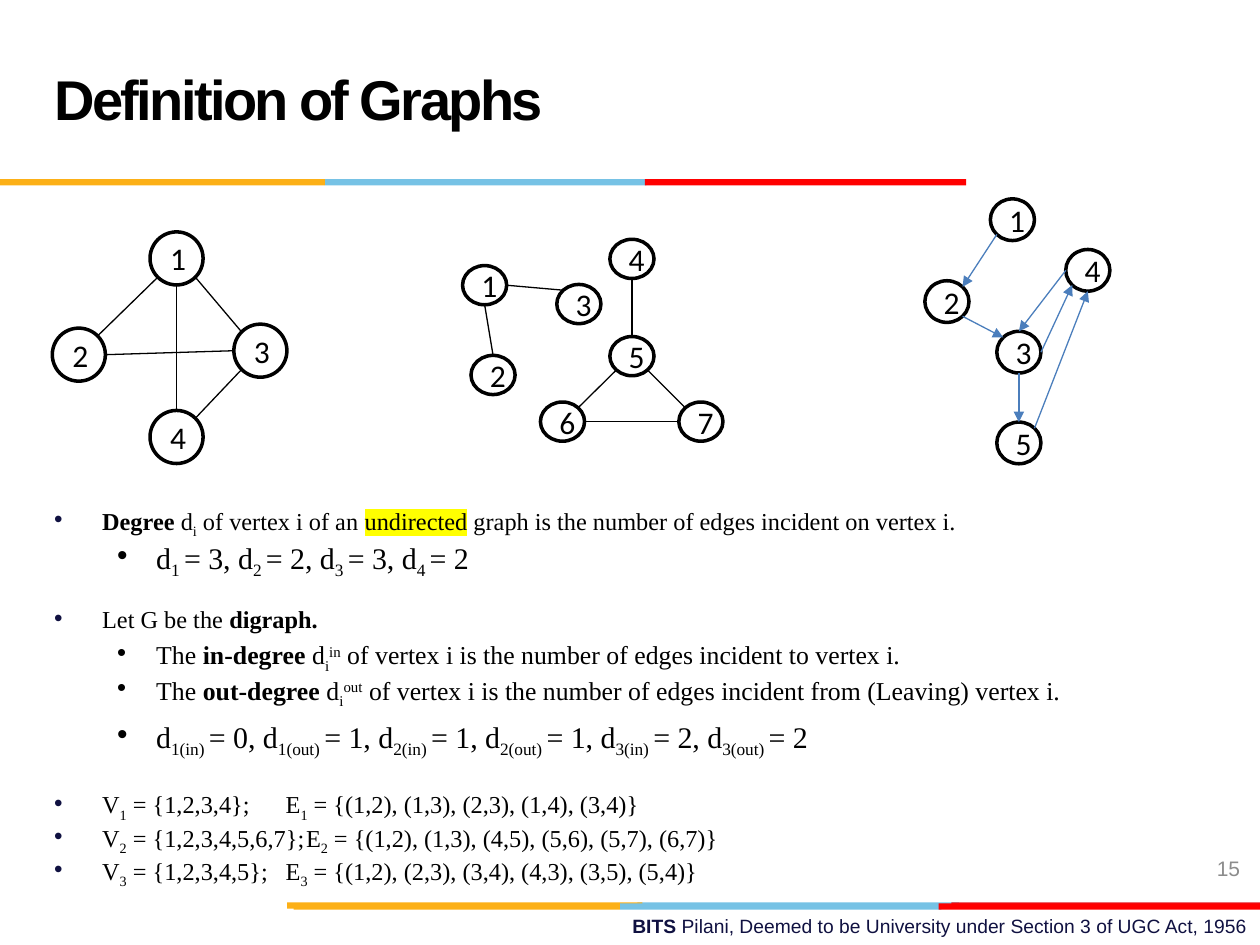
from math import sqrt

from lxml.etree import SubElement
from pptx import Presentation
from pptx.dml.color import RGBColor
from pptx.enum.shapes import MSO_CONNECTOR as Connector, MSO_SHAPE as Shape
from pptx.enum.text import MSO_ANCHOR as Anchor, PP_ALIGN as Align
from pptx.oxml.ns import qn
from pptx.util import Cm, Pt

COLORS = {
    "black": "000000", "white": "FFFFFF", "navy": "101141", "gray": "8C8C8C",
    "yellow": "FCB017", "sky": "76C2E5", "crimson": "E31C24", "red": "FF0000",
    "arrow": "4B7EBC", "marker": "FFFF00",
}
BARS = [
    (12.85, 18.19, 6.48, "sky"), (19.18, 18.19, 6.22, "crimson"), (5.79, 18.19, 7.16, "yellow"),
    (12.5, 18.21, 6.48, "sky"), (5.92, 18.21, 6.58, "yellow"), (18.92, 18.21, 6.48, "red"),
    (6.55, 3.61, 6.48, "sky"), (0, 3.61, 6.55, "yellow"), (13.0, 3.61, 6.48, "red"),
]
DIAGONAL = 1 / sqrt(2)
SITES = {
    "n": (0, -1), "s": (0, 1), "w": (-1, 0), "e": (1, 0),
    "nw": (-DIAGONAL, -DIAGONAL), "ne": (DIAGONAL, -DIAGONAL),
    "sw": (-DIAGONAL, DIAGONAL), "se": (DIAGONAL, DIAGONAL),
}
GRAPHS = [
    {
        "size": (1.07, 1.07), "directed": False,
        "nodes": {1: (3.56, 5.21), 2: (1.59, 7.15), 3: (5.25, 7.07), 4: (3.56, 8.81)},
        "edges": [(1, "s", 4, "n"), (2, "e", 3, "w"), (2, "ne", 1, "sw"),
                  (3, "nw", 1, "se"), (3, "sw", 4, "ne")],
    },
    {
        "size": (0.89, 0.84), "directed": True,
        "nodes": {1: (20.41, 4.43), 2: (19.09, 6.08), 3: (20.54, 7.1), 4: (21.93, 5.45),
                  5: (20.54, 8.93)},
        "edges": [(1, "sw", 2, "ne"), (2, "se", 3, "nw"), (4, "w", 3, "n"),
                  (3, "e", 4, "sw"), (3, "s", 5, "n"), (5, "ne", 4, "s")],
    },
    {
        "size": (0.89, 0.79), "directed": False,
        "nodes": {1: (9.77, 5.75), 2: (9.94, 7.56), 3: (11.67, 6.13), 4: (12.74, 5.22),
                  5: (12.74, 7.18), 6: (11.34, 8.5), 7: (14.13, 8.5)},
        "edges": [(2, "n", 1, "s"), (3, "nw", 1, "e"), (6, "ne", 5, "sw"),
                  (7, "nw", 5, "se"), (5, "n", 4, "s"), (7, "w", 6, "e")],
    },
]


def rgb(name):
    """Return the named colour."""
    return RGBColor.from_string(COLORS[name])


def add_span(para, text, size, font="Arial", color="black", style=""):
    """Add one run: style is bold, sub, sup, mark or empty."""
    span = para.add_run()
    span.text = text
    span.font.size = Pt(size)
    span.font.bold = style == "bold"
    span.font.color.rgb = rgb(color)
    props = span._r.get_or_add_rPr()
    if style == "mark":
        highlight = props.makeelement(qn("a:highlight"))
        SubElement(highlight, qn("a:srgbClr"), val=COLORS["marker"])
        props.find(qn("a:solidFill")).addnext(highlight)
    if style in ("sub", "sup"):
        props.set("baseline", "-25000" if style == "sub" else "30000")
    span.font.name = font
    return span


def add_box(page, left, top, width, height, anchor=Anchor.TOP):
    """Add a wrapping text box and return its text frame."""
    frame = page.shapes.add_textbox(Cm(left), Cm(top), Cm(width), Cm(height)).text_frame
    frame.word_wrap = True
    frame.vertical_anchor = anchor
    return frame


def add_bar(page, left, top, width, color):
    """Add one coloured strip of a rule."""
    bar = page.shapes.add_shape(Shape.RECTANGLE, Cm(left), Cm(top), Cm(width), Cm(0.13))
    bar.shadow.inherit = False
    bar.fill.solid()
    bar.fill.fore_color.rgb = rgb(color)
    bar.line.fill.background()


def add_node(page, label, center, size):
    """Add a numbered vertex around its centre."""
    left, top = (middle - side / 2 for middle, side in zip(center, size))
    node = page.shapes.add_shape(Shape.OVAL, Cm(left), Cm(top), *map(Cm, size))
    node.shadow.inherit = False
    node.fill.solid()
    node.fill.fore_color.rgb = rgb("white")
    node.line.color.rgb = rgb("black")
    node.line.width = Pt(2)
    node.text_frame.vertical_anchor = Anchor.MIDDLE
    para = node.text_frame.paragraphs[0]
    para.alignment = Align.CENTER
    add_span(para, str(label), 18, "Calibri")


def add_edge(page, start, end, directed):
    """Add an edge, with an arrowhead when directed."""
    edge = page.shapes.add_connector(Connector.STRAIGHT, *map(Cm, start + end))
    edge.line.width = Pt(0.75)
    edge.line.color.rgb = rgb("arrow" if directed else "black")
    if directed:
        SubElement(edge.line._get_or_add_ln(), qn("a:tailEnd"), type="triangle")
    SubElement(edge._element.spPr, qn("a:effectLst"))


def add_graph(page, size, directed, nodes, edges):
    """Add the vertices of a graph and the edges between their rims."""
    def rim(label, site):
        """Return the point of a vertex at a compass site."""
        return tuple(middle + side / 2 * step
                     for middle, side, step in zip(nodes[label], size, SITES[site]))

    for label, center in nodes.items():
        add_node(page, label, center, size)
    for source, leave, target, arrive in edges:
        add_edge(page, rim(source, leave), rim(target, arrive), directed)


def add_bullet(frame, level, size, before, spans):
    """Add a bulleted paragraph made of (text, style) spans."""
    first = not frame.paragraphs[0].runs
    para = frame.paragraphs[0] if first else frame.add_paragraph()
    para.level = level
    para.alignment = Align.JUSTIFY
    props = para._p.get_or_add_pPr()
    indent, hanging = [(0.97, 0.97), (2.06, 0.79)][level]
    props.set("marL", str(Cm(indent)))
    props.set("indent", str(-Cm(hanging)))
    color = SubElement(props, qn("a:buClr"))
    SubElement(color, qn("a:srgbClr"), val=COLORS["black" if level else "navy"])
    SubElement(props, qn("a:buFont"), typeface="Arial")
    SubElement(props, qn("a:buChar"), char="•")
    if any("\t" in text for text, _ in spans):
        tabs = SubElement(props, qn("a:tabLst"))
        SubElement(tabs, qn("a:tab"), pos=str(Cm(4.67)), algn="l")
    para.line_spacing = 0.8
    para.space_before = Pt(before)
    for text, style in spans:
        add_span(para, text, size, "Times New Roman", style=style)


def degree_spans(degrees):
    """Spell out a list of (index, value) degrees."""
    spans = [("d", "")]
    for index, value in degrees:
        spans += [(f"{index} ", "sub"), (f"= {value}, d", "")]
    spans[-1] = (f"= {degrees[-1][1]}", "")
    return spans


def add_definitions(page):
    """Add the bulleted definitions and the vertex and edge sets."""
    frame = add_box(page, 0.84, 10.14, 22.66, 7.6)
    add_bullet(frame, 0, 13.9, 0, [
        ("Degree", "bold"), (" d", ""), ("i", "sub"), (" of vertex i of an ", ""),
        ("undirected", "mark"), (" graph is the number of edges incident on vertex i.", "")])
    add_bullet(frame, 1, 17.1, 4.4, degree_spans([(1, 3), (2, 2), (3, 3), (4, 2)]))
    add_bullet(frame, 0, 13.9, 19.2, [("Let G be the ", ""), ("digraph.", "bold")])
    for kind, before, ending in [("in", 5.5, "to vertex i."),
                                 ("out", 4, "from (Leaving) vertex i.")]:
        add_bullet(frame, 1, 14.7, before, [
            ("The ", ""), (f"{kind}-degree ", "bold"), ("d", ""), ("i", "sub"), (kind, "sup"),
            (f" of vertex i is the number of edges incident {ending}", "")])
    add_bullet(frame, 1, 17.1, 9.3, degree_spans([
        ("1(in)", 0), ("1(out)", 1), ("2(in)", 1), ("2(out)", 1), ("3(in)", 2), ("3(out)", 2)]))
    sets = [
        ("1,2,3,4", "(1,2), (1,3), (2,3), (1,4), (3,4)"),
        ("1,2,3,4,5,6,7", "(1,2), (1,3), (4,5), (5,6), (5,7), (6,7)"),
        ("1,2,3,4,5", "(1,2), (2,3), (3,4), (4,3), (3,5), (5,4)"),
    ]
    for number, (vertices, edges) in enumerate(sets, 1):
        add_bullet(frame, 0, 13.9, 21.8 if number == 1 else 3.9, [
            ("V", ""), (str(number), "sub"), (f" = {{{vertices}}};\tE", ""),
            (str(number), "sub"), (f" = {{{edges}}}", "")])


def add_title(page):
    """Place and format the title."""
    title = page.shapes.title
    title.left, title.top, title.width, title.height = map(Cm, (0.84, 0.43, 20.12, 3.18))
    title.text_frame.vertical_anchor = Anchor.MIDDLE
    para = title.text_frame.paragraphs[0]
    para.alignment = Align.LEFT
    para.line_spacing = Pt(36)
    span = add_span(para, "Definition of Graphs", 32, style="bold")
    span._r.get_or_add_rPr().set("spc", "-150")


def add_footer(page):
    """Add the institution line and the page number."""
    para = add_box(page, 9.09, 18.31, 16.31, 0.74).paragraphs[0]
    para.alignment = Align.RIGHT
    add_span(para, "BITS ", 11, color="navy", style="bold")
    add_span(para, "Pilani, Deemed to be University under Section 3 of UGC Act, 1956",
             11, color="navy")
    para = add_box(page, 19.33, 16.99, 5.92, 1.02, Anchor.MIDDLE).paragraphs[0]
    para.alignment = Align.RIGHT
    add_span(para, "15", 12, color="gray")


def main():
    """Build the slide and save it."""
    deck = Presentation()
    deck.slide_width, deck.slide_height = Cm(25.4), Cm(19.05)
    page = deck.slides.add_slide(deck.slide_layouts[5])
    for bar in BARS:
        add_bar(page, *bar)
    add_title(page)
    add_footer(page)
    for graph in GRAPHS:
        add_graph(page, **graph)
    add_definitions(page)
    deck.save("out.pptx")


if __name__ == "__main__":
    main()
